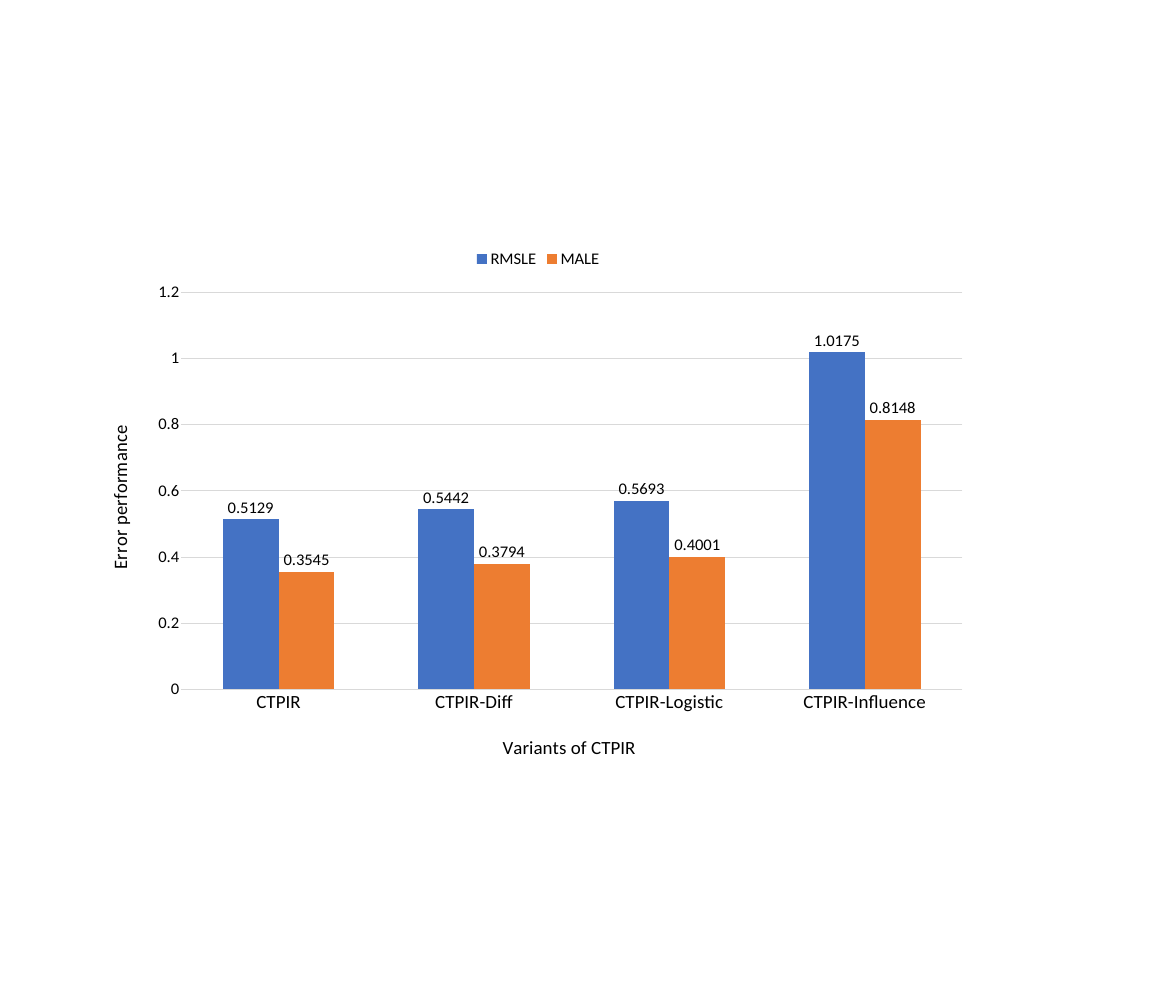
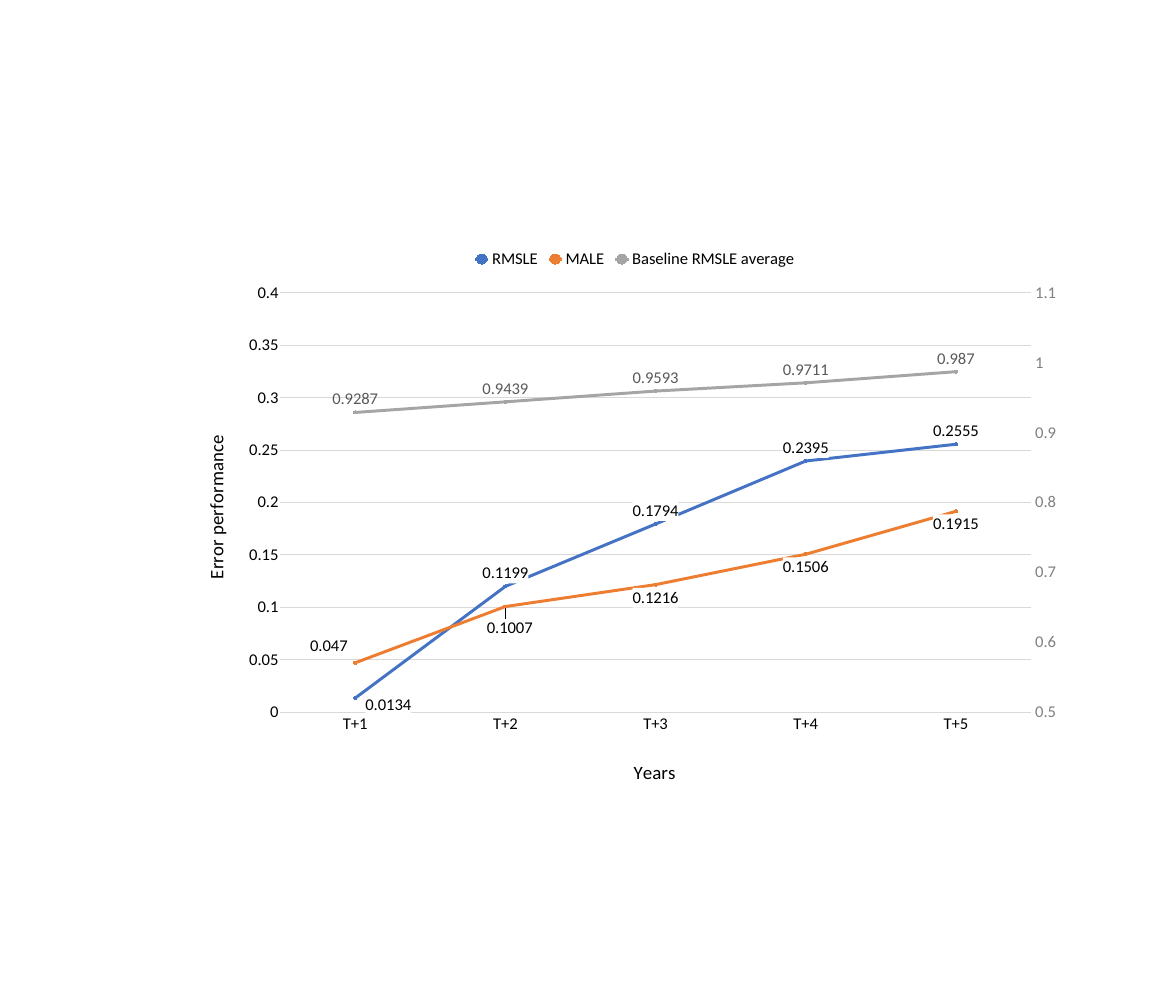
from copy import deepcopy

from pptx import Presentation
from pptx.chart import axis as chart_axis
from pptx.chart.data import CategoryChartData
from pptx.dml.color import RGBColor
from pptx.enum import chart as kinds
from pptx.oxml import parse_xml
from pptx.oxml import ns
from pptx.util import Pt

FONT = "Calibri"
COLORS = {
    "text": "000000",
    "grid": "D9D9D9",
    "RMSLE": "4472C4",
    "MALE": "ED7D31",
    "Baseline RMSLE average": "A5A5A5",
    "baseline label": "595959",
    "baseline axis": "808080",
    "label box": "FFFFFF",
}
POSITION = kinds.XL_LABEL_POSITION


def rgb(name):
    """Return the named colour."""
    return RGBColor.from_string(COLORS[name])


def style_font(font, size=28, color="text"):
    """Give a font the shared typeface with a size and colour."""
    font.name, font.size, font.bold = FONT, Pt(size), False
    font.color.rgb = rgb(color)


def style_line(line, color, width):
    """Set a line's colour and width in points."""
    line.color.rgb = rgb(color)
    line.width = Pt(width)


def place(parent, percents, after=None, inner=False):
    """Place a chart part by percentages of the chart's size."""
    for old in parent.xpath("c:layout"):
        parent.remove(old)
    target = '<c:layoutTarget val="inner"/>' if inner else ""
    modes = "" if after == "idx" else '<c:xMode val="edge"/><c:yMode val="edge"/>'
    sizes = "".join(f'<c:{side} val="{round(percent / 100, 4)}"/>'
                    for side, percent in zip("xywh", percents))
    layout = parse_xml(f'<c:layout {ns.nsdecls("c")}><c:manualLayout>'
                       f'{target}{modes}{sizes}</c:manualLayout></c:layout>')
    if after:
        parent.find(ns.qn(f"c:{after}")).addnext(layout)
    else:
        parent.insert(0, layout)


def title_axis(axis, wording, percents):
    """Write and place an axis title."""
    run = axis.axis_title.text_frame.paragraphs[0].add_run()
    run.text = wording
    style_font(run.font, 32)
    place(axis.axis_title._element, percents, after="tx")


def style_value_axis(axis, low, high, step, color="text"):
    """Set a value axis's scale and text, without a line."""
    axis.minimum_scale, axis.maximum_scale, axis.major_unit = low, high, step
    axis.major_tick_mark = kinds.XL_TICK_MARK.NONE
    axis.format.line.fill.background()
    style_font(axis.tick_labels.font, color=color)


def label_series(series, position, color="text"):
    """Show the values of a series."""
    labels = series.data_labels
    labels.show_value = True
    labels.position = position
    style_font(labels.font, color=color)


def shift_label(series, index, position, percents):
    """Move one point's label away from its usual position."""
    label = series.points[index].data_label
    style_font(label.font)
    label.position = position
    point_label = series._element.xpath(f'c:dLbls/c:dLbl[c:idx/@val="{index}"]')[0]
    place(point_label, percents, after="idx")


def back_labels(series):
    """Put a plain box behind every label of a series, without leader lines."""
    for text_style in series._element.xpath("c:dLbls//c:txPr"):
        text_style.addprevious(parse_xml(
            f'<c:spPr {ns.nsdecls("c", "a")}><a:solidFill>'
            f'<a:srgbClr val="{COLORS["label box"]}"/></a:solidFill></c:spPr>'))
    series._element.xpath("c:dLbls")[0].append(parse_xml(
        f'<c:extLst {ns.nsdecls("c")}>'
        '<c:ext uri="{CE6537A1-D6FC-4f65-9D91-7224C49458BB}" '
        'xmlns:c15="http://schemas.microsoft.com/office/drawing/2012/chart">'
        '<c15:showLeaderLines val="0"/></c:ext></c:extLst>'))


def add_error_chart(slide, box, kind, categories, errors, scale, grid_width,
                    category_size, category_title, plot_box, title_spots):
    """Add a chart with the legend, axes and titles that both slides share."""
    data = CategoryChartData()
    data.categories = categories
    for name, values in errors.items():
        data.add_series(name, values)
    chart = slide.shapes.add_chart(kind, *map(Pt, box), data).chart
    style_font(chart.font)
    chart.has_title = False
    chart.has_legend = True
    chart.legend.position = kinds.XL_LEGEND_POSITION.TOP
    chart.legend.include_in_layout = False
    style_font(chart.legend.font)
    chart.plots[0].vary_by_categories = False

    variants, performance = chart.category_axis, chart.value_axis
    variants.major_tick_mark = kinds.XL_TICK_MARK.NONE
    style_line(variants.format.line, "grid", 0.75)
    style_font(variants.tick_labels.font, category_size)
    style_value_axis(performance, *scale)
    performance.has_major_gridlines = True
    style_line(performance.major_gridlines.format.line, "grid", grid_width)
    title_axis(variants, category_title, title_spots[0])
    title_axis(performance, "Error performance", title_spots[1])
    place(chart._chartSpace.chart.plotArea, plot_box, inner=True)
    return chart


def move_to_right_axis(chart, series, scale, color):
    """Plot one series against a second value axis on the right."""
    plot_area = chart._chartSpace.chart.plotArea
    left_plot = series._element.getparent()
    right_plot = deepcopy(left_plot)
    for duplicate in right_plot.xpath("c:ser"):
        right_plot.remove(duplicate)
    right_plot.find(ns.qn("c:varyColors")).addnext(series._element)
    left_plot.addnext(right_plot)

    years, baseline = [deepcopy(axis._element)
                       for axis in (chart.category_axis, chart.value_axis)]
    year_id, baseline_id = "50010", "50020"
    for reference, number in zip(right_plot.xpath("c:axId"), (year_id, baseline_id)):
        reference.set("val", number)
    plot_area.xpath("c:valAx")[-1].addnext(baseline)
    baseline.addnext(years)
    for element, own, other in ((years, year_id, baseline_id),
                                (baseline, baseline_id, year_id)):
        element.find(ns.qn("c:axId")).set("val", own)
        element.find(ns.qn("c:crossAx")).set("val", other)
    baseline.find(ns.qn("c:axPos")).set("val", "r")
    baseline.find(ns.qn("c:crosses")).set("val", "max")

    hidden_years = chart_axis.CategoryAxis(years)
    hidden_years.has_title = False
    hidden_years.visible = False
    right_axis = chart_axis.ValueAxis(baseline)
    right_axis.has_title = False
    right_axis.has_major_gridlines = False
    right_axis.tick_label_position = kinds.XL_TICK_LABEL_POSITION.HIGH
    style_value_axis(right_axis, *scale, color)


def build_variants(slide, box):
    """Compare the errors of the model variants in columns."""
    chart = add_error_chart(
        slide, box, kinds.XL_CHART_TYPE.COLUMN_CLUSTERED,
        ["CTPIR", "CTPIR-Diff", "CTPIR-Logistic", "CTPIR-Influence"],
        {"RMSLE": [0.5129, 0.5442, 0.5693, 1.0175],
         "MALE": [0.3545, 0.3794, 0.4001, 0.8148]},
        (0, 1.2, 0.2), 0.75, 32, "Variants of CTPIR",
        (9.6, 9.6, 88.4, 77.6), ((45.6, 95.4), (0.8, 35.5)))
    chart.plots[0].gap_width = 150
    chart.plots[0].overlap = 0
    for series in chart.plots[0].series:
        series.format.fill.solid()
        series.format.fill.fore_color.rgb = rgb(series.name)
        label_series(series, POSITION.OUTSIDE_END)


def build_years(slide, box):
    """Show the errors over the years with the baseline on the right axis."""
    chart = add_error_chart(
        slide, box, kinds.XL_CHART_TYPE.LINE_MARKERS,
        [f"T+{year}" for year in range(1, 6)],
        {"RMSLE": [0.0134, 0.1199, 0.1794, 0.2395, 0.2555],
         "MALE": [0.047, 0.1007, 0.1216, 0.1506, 0.1915],
         "Baseline RMSLE average": [0.9287, 0.9439, 0.9593, 0.9711, 0.987]},
        (0, 0.4, 0.05), 1.5, 28, "Years",
        (9.6, 9.2, 85.6, 77.3), ((49.5, 94.6), (0.4, 35)))
    for series in chart.plots[0].series:
        series.smooth = False
        style_line(series.format.line, series.name, 5)
        series.marker.style = kinds.XL_MARKER_STYLE.CIRCLE
        series.marker.size = 5
        series.marker.format.fill.solid()
        series.marker.format.fill.fore_color.rgb = rgb(series.name)
        style_line(series.marker.format.line, series.name, 0.75)

    rmsle, male, baseline = chart.plots[0].series
    label_series(rmsle, POSITION.ABOVE)
    label_series(male, POSITION.BELOW)
    label_series(baseline, POSITION.ABOVE, "baseline label")
    shift_label(rmsle, 0, POSITION.RIGHT, (0.8, 1.3))
    shift_label(male, 0, POSITION.ABOVE, (-3, -0.7))
    shift_label(male, 1, POSITION.BELOW, (0.5, 1.6))
    for series in (rmsle, male):
        back_labels(series)
    move_to_right_axis(chart, baseline, (0.5, 1.1, 0.1), "baseline axis")


def main():
    """Build and save the presentation."""
    deck = Presentation()
    deck.slide_width, deck.slide_height = Pt(1984.32), Pt(1700.64)
    blank = deck.slide_layouts[6]
    for build, box in ((build_variants, (162, 409.68, 1491.84, 882)),
                       (build_years, (330.48, 409.68, 1480.32, 924.48))):
        build(deck.slides.add_slide(blank), box)
    deck.save("out.pptx")


main()
